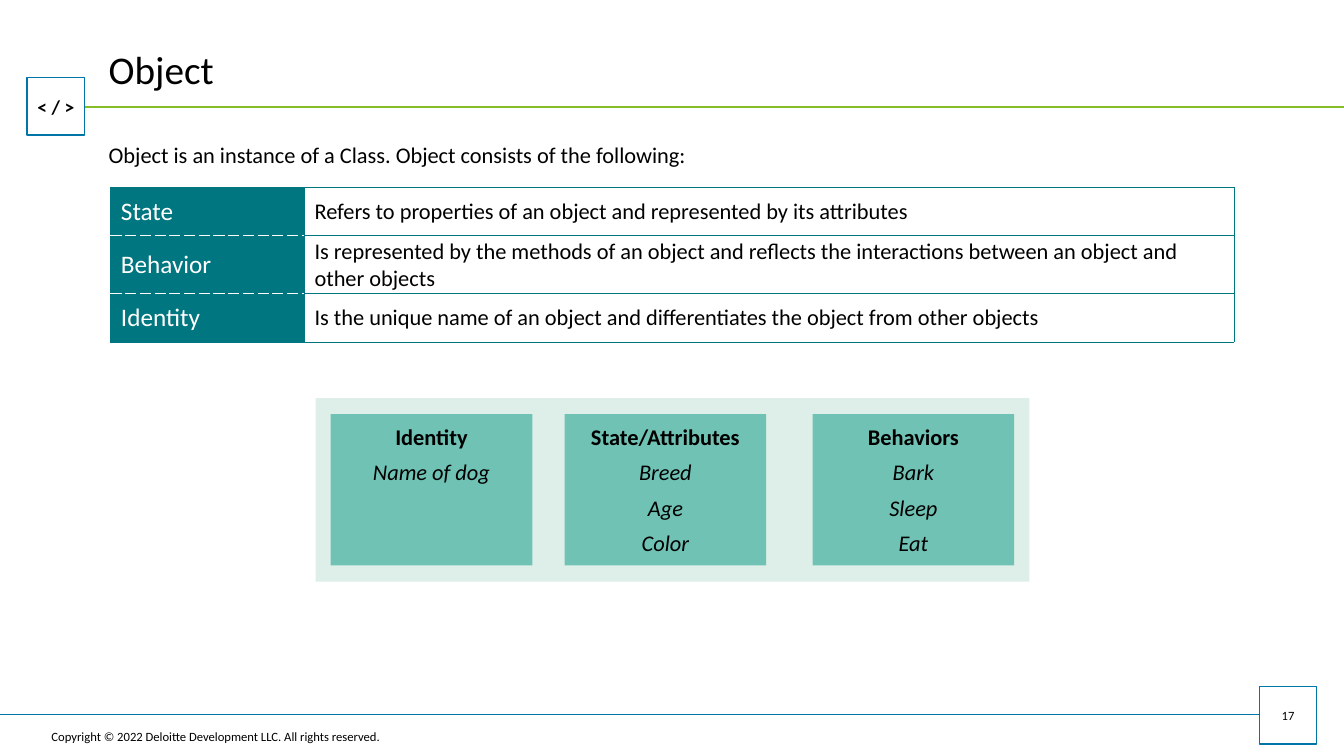
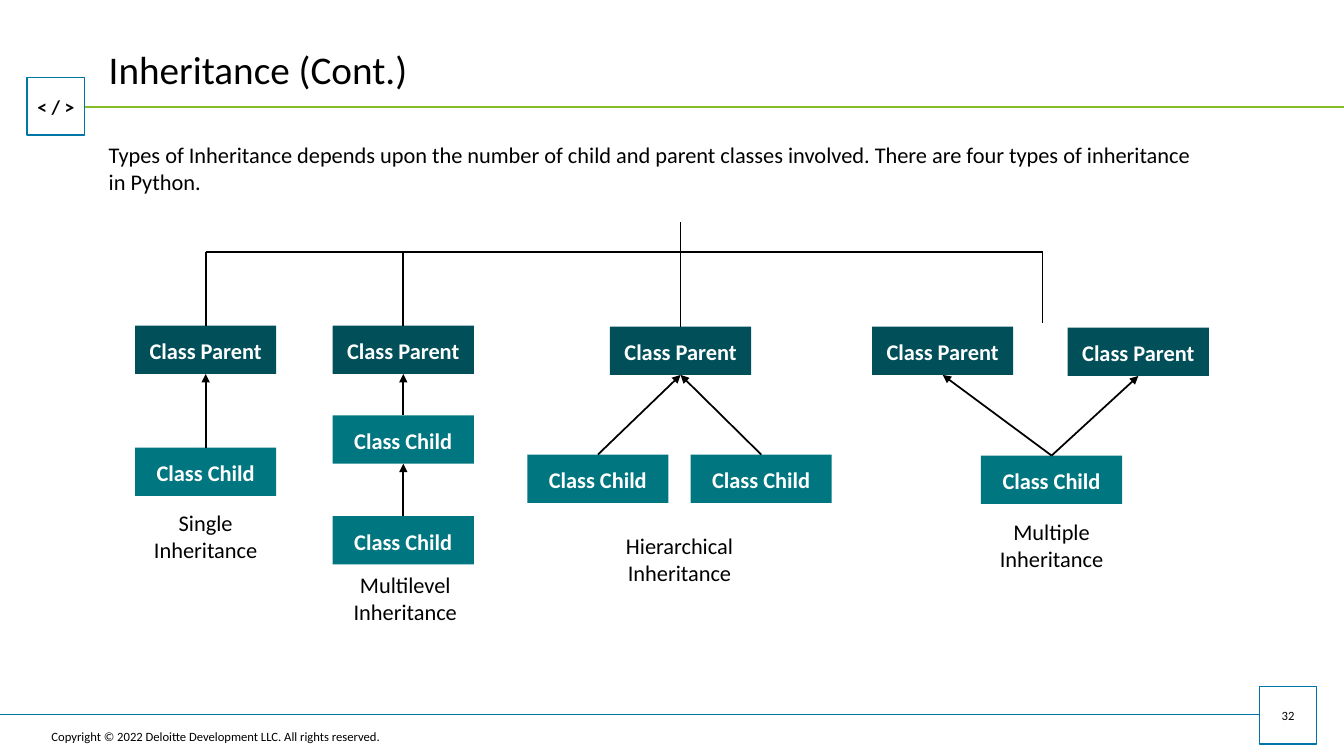
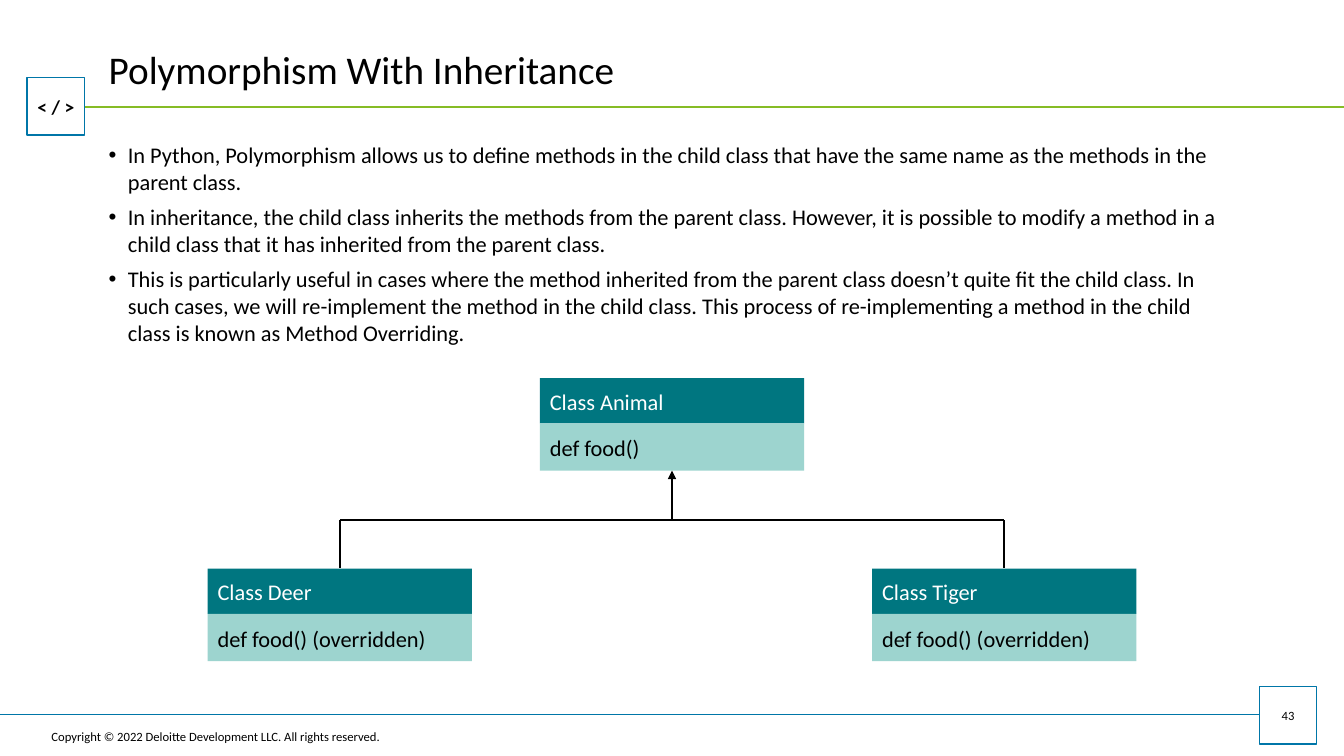
from lxml import etree
from pptx import Presentation
from pptx import util as u
from pptx.dml import color
from pptx.enum import shapes, text
from pptx.oxml import ns

FONT = "Calibri"
BLACK, WHITE = "000000", "FFFFFF"
GREEN, BLUE = "86BC25", "0076A8"
DARK_TEAL, TEAL = "004F59", "007680"
MID_TEAL, LIGHT_TEAL, PALE_TEAL = "6FC2B4", "9DD4CF", "DDEFE8"
COPYRIGHT = "Copyright © 2022 Deloitte Development LLC. All rights reserved."
LEFT, CENTER = text.PP_ALIGN.LEFT, text.PP_ALIGN.CENTER
TOP, MIDDLE = text.MSO_ANCHOR.TOP, text.MSO_ANCHOR.MIDDLE


def paint(target, hex_color):
    """Set a solid colour on a fill, or on a font's or line's fill."""
    target.solid()
    target.fore_color.rgb = color.RGBColor.from_string(hex_color)


def add_xml(parent, tag, **attributes):
    return etree.SubElement(parent, ns.qn(tag), **attributes)


def write(frame, lines, size=16, ink=BLACK, bold=False, italic=False, align=LEFT,
          anchor=TOP, insets=(0.1, 0.05), spacing=None, gap=0, bullet=False, wrap=True):
    """Fill a text frame; bold and italic may be a function of the line index."""
    frame.word_wrap = wrap
    frame.vertical_anchor = anchor
    frame.margin_left = frame.margin_right = u.Inches(insets[0])
    frame.margin_top = frame.margin_bottom = u.Inches(insets[1])
    lines = [lines] if isinstance(lines, str) else lines
    for index, line in enumerate(lines):
        paragraph = frame.add_paragraph() if index else frame.paragraphs[0]
        paragraph.alignment = align
        if spacing:
            paragraph.line_spacing = spacing
        if index and gap:
            paragraph.space_before = u.Pt(gap)
        if bullet:
            properties = paragraph._p.get_or_add_pPr()
            indent = u.Inches(0.19)
            properties.set("marL", str(indent))
            properties.set("indent", str(-indent))
            add_xml(properties, "a:buFont", typeface="Arial")
            add_xml(properties, "a:buChar", char="•")
        run = paragraph.add_run()
        run.text = line
        run.font.name = FONT
        run.font.size = u.Pt(size)
        run.font.bold = bold(index) if callable(bold) else bold
        run.font.italic = italic(index) if callable(italic) else italic
        paint(run.font.fill, ink)


def add_text(slide, box, lines, **style):
    shape = slide.shapes.add_textbox(*map(u.Inches, box))
    write(shape.text_frame, lines, **style)
    return shape


def add_box(slide, box, fill, lines=None, outline=None, **style):
    shape = slide.shapes.add_shape(shapes.MSO_SHAPE.RECTANGLE, *map(u.Inches, box))
    shape.shadow.inherit = False
    paint(shape.fill, fill)
    if outline:
        paint(shape.line.fill, outline)
        shape.line.width = u.Pt(1)
    else:
        shape.line.fill.background()
    if lines:
        write(shape.text_frame, lines, **style)
    return shape


def connect(slide, start, end, ink=BLACK, width=1.25, arrow=False):
    """Draw a line; each end is an (x, y) point or a (shape, side) joint."""
    joints = [not isinstance(tip[0], (int, float)) for tip in (start, end)]
    points = [(0, 0) if joined else tip for tip, joined in zip((start, end), joints)]
    line = slide.shapes.add_connector(
        shapes.MSO_CONNECTOR.STRAIGHT, *(u.Inches(n) for point in points for n in point))
    if joints[0]:
        line.begin_connect(*start)
    if joints[1]:
        line.end_connect(*end)
    paint(line.line.fill, ink)
    line.line.width = u.Pt(width)
    if arrow:
        add_xml(line.line._get_or_add_ln(), "a:tailEnd", type="triangle")
    add_xml(line._element.spPr, "a:effectLst")


def start_slide(presentation, title, number):
    """Add a slide with the title, bands, code badge, page number and footer."""
    slide = presentation.slides.add_slide(presentation.slide_layouts[6])
    badge = dict(outline=BLUE, align=CENTER, anchor=MIDDLE, insets=(0, 0), wrap=False)
    connect(slide, (0.76, 1.06), (13.33, 1.06), GREEN, 1)
    add_box(slide, (0.27, 0.77, 0.57, 0.57), WHITE, "< / >", size=14, bold=True, **badge)
    connect(slide, (0, 7.09), (12.58, 7.09), BLUE, 1)
    add_box(slide, (12.49, 6.81, 0.57, 0.57), WHITE, str(number), size=9, **badge)
    add_text(slide, (0.51, 7.25, 3.88, 0.11), COPYRIGHT, size=9, anchor=MIDDLE, insets=(0, 0))
    add_text(slide, (0.98, 0.3, 11.28, 0.76), title, size=28, anchor=MIDDLE)
    return slide


def set_borders(cell, **sides):
    """Draw cell borders from (colour, dash) pairs keyed by L, R, T and B."""
    properties = cell._tc.get_or_add_tcPr()
    for position, side in enumerate("LRTB"):
        hex_color, dash = sides[side]
        line = etree.Element(ns.qn(f"a:ln{side}"), w=str(u.Pt(0.75)))
        add_xml(add_xml(line, "a:solidFill"), "a:srgbClr", val=hex_color)
        add_xml(line, "a:prstDash", val=dash)
        properties.insert(position, line)


def add_definitions(slide, left, top, rows):
    widths, heights = (1.92, 9.22), (0.48, 0.57, 0.48)
    table = slide.shapes.add_table(len(rows), 2, *map(
        u.Inches, (left, top, sum(widths), sum(heights)))).table
    table.first_row = table.horz_banding = False
    for column, width in zip(table.columns, widths):
        column.width = u.Inches(width)
    solid, dashed = (TEAL, "solid"), (WHITE, "dash")
    last = len(rows) - 1
    for index, row in enumerate(rows):
        table.rows[index].height = u.Inches(heights[index])
        for column, content in enumerate(row):
            cell = table.cell(index, column)
            is_term = column == 0
            paint(cell.fill, TEAL if is_term else WHITE)
            write(cell.text_frame, content, size=18 if is_term else 16,
                  ink=WHITE if is_term else BLACK)
            cell.vertical_anchor = MIDDLE
            cell.margin_left = cell.margin_right = u.Inches(0.1)
            cell.margin_top = cell.margin_bottom = u.Inches(0.02)
            set_borders(cell, L=solid, R=solid,
                        T=dashed if is_term and index else solid,
                        B=dashed if is_term and index < last else solid)


def add_example(slide, left, top, cards):
    """Draw a panel of cards, each an offset from its left edge and its lines."""
    add_box(slide, (left, top, 7.08, 1.82), PALE_TEAL)
    for offset, lines in cards:
        add_box(slide, (left + offset, top + 0.16, 2, 1.5), MID_TEAL, lines,
                bold=lambda index: index == 0, italic=lambda index: index > 0,
                align=CENTER, insets=(0.1, 0.09), gap=6)


def add_family(slide, left, top, label, label_at, parents, children, arrows):
    """Draw one inheritance tree and return its nodes, parents first."""
    nodes = []
    for kind, fill, places in (("Parent", DARK_TEAL, parents), ("Child", TEAL, children)):
        for x, y in places:
            nodes.append(add_box(
                slide, (left + x, top + y, 1.4, 0.48), fill, f"Class {kind}", ink=WHITE,
                bold=True, align=CENTER, anchor=MIDDLE, insets=(0.1, 0.1), spacing=1.06))
    for lower, upper in arrows:
        connect(slide, (nodes[lower], 0), (nodes[upper], 2), arrow=True)
    x, y = label_at
    add_text(slide, (left + x, top + y, 1.4, 0.64), f"{label} Inheritance", align=CENTER)
    return nodes


def add_inheritance_types(slide, left, top):
    families = [
        ("Single", (0, 2.8), [(0, 1.03)], [(0, 2.24)], [(1, 0)]),
        ("Multilevel", (1.98, 3.42), [(1.96, 1.03)], [(1.96, 1.92), (1.96, 2.92)],
         [(1, 0), (2, 1)]),
        ("Hierarchical", (4.7, 3.03), [(4.71, 1.04)], [(3.89, 2.31), (5.51, 2.31)],
         [(1, 0), (2, 0)]),
        ("Multiple", (8.39, 2.89), [(7.31, 1.04), (9.25, 1.05)], [(8.39, 2.32)],
         [(2, 0), (2, 1)]),
    ]
    rail, rail_end = top + 0.3, left + 9
    connect(slide, (left + 0.7, rail), (rail_end, rail))
    connect(slide, (rail_end, rail), (rail_end, top + 1))
    for family in families:
        nodes = add_family(slide, left, top, *family)
        label, parents = family[0], family[2]
        if len(parents) == 1:
            start = top if label == "Hierarchical" else rail
            connect(slide, (left + parents[0][0] + 0.7, start), (nodes[0], 0))


def add_class_card(slide, left, top, name, method):
    """Draw a class name over its method and return both boxes."""
    style = dict(anchor=MIDDLE, insets=(0.1, 0.1), spacing=1.06)
    header = add_box(slide, (left, top, 2.62, 0.45), TEAL, name, ink=WHITE, **style)
    body = add_box(slide, (left, top + 0.45, 2.62, 0.47), LIGHT_TEAL, method, **style)
    return header, body


def add_override_tree(slide, left, top):
    half, step = 1.31, 3.295
    rail, middle = top + 1.41, left + step + half
    _, base = add_class_card(slide, left + step, top, "Class Animal", "def food()")
    connect(slide, (middle, rail), (base, 2), arrow=True)
    connect(slide, (middle - step, rail), (middle + step, rail))
    for x, name in ((left, "Class Deer"), (left + 2 * step, "Class Tiger")):
        header, _ = add_class_card(slide, x, top + 1.89, name, "def food() (overridden)")
        connect(slide, (x + half, rail), (header, 0))


def build_object(presentation):
    slide = start_slide(presentation, "Object", 17)
    add_text(slide, (0.98, 1.35, 11.37, 0.37),
             "Object is an instance of a Class. Object consists of the following:")
    add_definitions(slide, 1.1, 1.86, [
        ("State", "Refers to properties of an object and represented by its attributes"),
        ("Behavior", "Is represented by the methods of an object and reflects the "
                     "interactions between an object and other objects"),
        ("Identity", "Is the unique name of an object and differentiates the object "
                     "from other objects"),
    ])
    add_example(slide, 3.13, 3.95, [
        (0.15, ["Identity", "Name of dog"]),
        (2.47, ["State/Attributes", "Breed", "Age", "Color"]),
        (4.93, ["Behaviors", "Bark", "Sleep", "Eat"]),
    ])


def build_inheritance(presentation):
    slide = start_slide(presentation, "Inheritance (Cont.)", 32)
    add_text(slide, (0.98, 1.35, 11.07, 0.64),
             "Types of Inheritance depends upon the number of child and parent classes "
             "involved. There are four types of inheritance in Python.")
    add_inheritance_types(slide, 1.34, 2.2)


def build_polymorphism(presentation):
    slide = start_slide(presentation, "Polymorphism With Inheritance", 43)
    add_text(slide, (0.98, 1.35, 11.37, 2.15), [
        "In Python, Polymorphism allows us to define methods in the child class that have "
        "the same name as the methods in the parent class.",
        "In inheritance, the child class inherits the methods from the parent class. "
        "However, it is possible to modify a method in a child class that it has inherited "
        "from the parent class.",
        "This is particularly useful in cases where the method inherited from the parent "
        "class doesn’t quite fit the child class. In such cases, we will re-implement the "
        "method in the child class. This process of re-implementing a method in the child "
        "class is known as Method Overriding.",
    ], gap=6, bullet=True)
    add_override_tree(slide, 2.06, 3.75)


def main():
    presentation = Presentation()
    presentation.slide_width = u.Inches(13.33)
    presentation.slide_height = u.Inches(7.5)
    build_object(presentation)
    build_inheritance(presentation)
    build_polymorphism(presentation)
    presentation.save("out.pptx")


if __name__ == "__main__":
    main()
